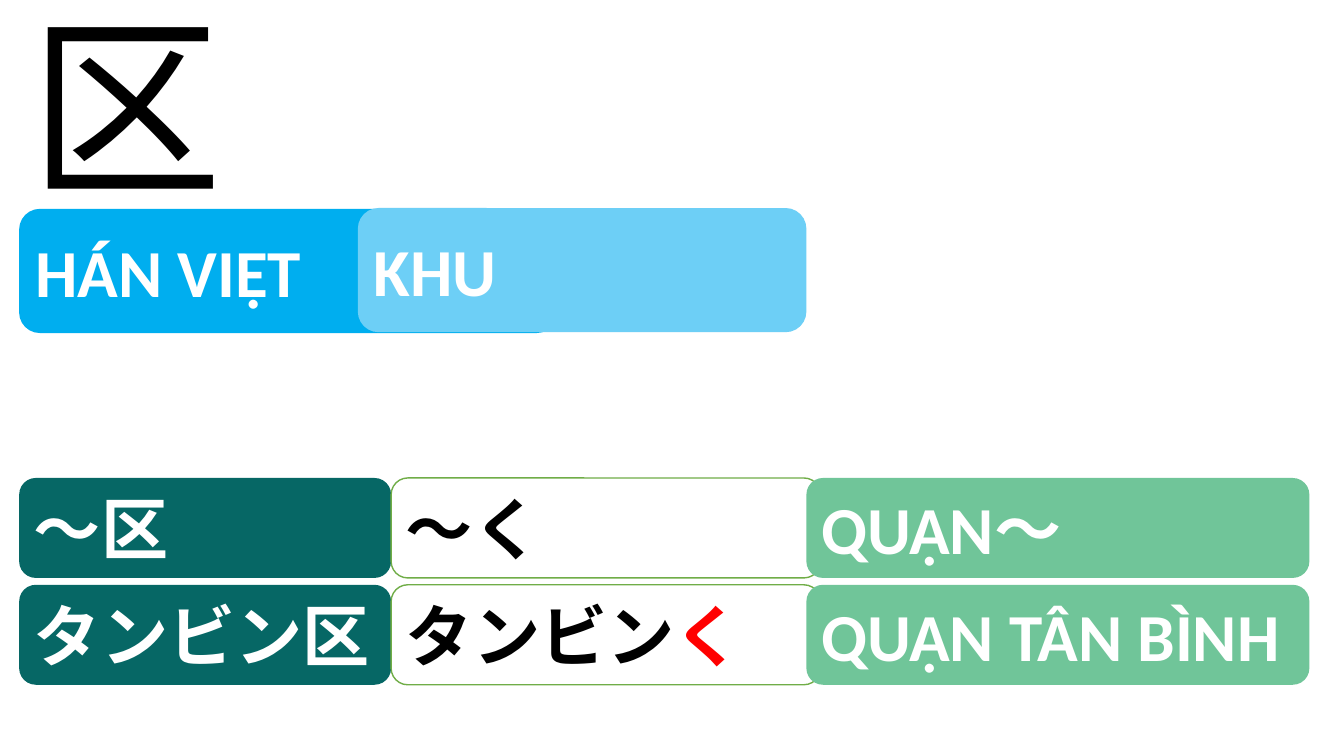
from dataclasses import dataclass

from lxml import etree
from pptx import Presentation
from pptx.dml.color import RGBColor
from pptx.enum.shapes import MSO_SHAPE
from pptx.enum.text import MSO_ANCHOR, MSO_AUTO_SIZE, PP_ALIGN
from pptx.oxml.ns import qn
from pptx.slide import Slide
from pptx.text.text import TextFrame
from pptx.util import Pt

ROUNDED = MSO_SHAPE.ROUNDED_RECTANGLE
MIDDLE = MSO_ANCHOR.MIDDLE
GROW = MSO_AUTO_SIZE.SHAPE_TO_FIT_TEXT
LEFT = PP_ALIGN.LEFT

COLORS = {
    "black": "000000",
    "white": "FFFFFF",
    "red": "FF0000",
    "blue": "00AEEF",
    "sky": "6DCFF6",
    "teal": "066765",
    "mint": "70C599",
    "green": "70AD47",
}
JAPANESE_FONT = "Noto Sans CJK JP"
CARD_FORMAT = {"name": "Calibri", "size": Pt(48), "bold": True}
KANJI_FORMAT = {"name": JAPANESE_FONT, "size": Pt(138)}

MARGIN = 13.7
READING_HEIGHT = 88.7
WORD_TOP, WORD_HEIGHT, WORD_STEP = 341.4, 71.4, 76.3


@dataclass(frozen=True)
class Phrase:
    text: str
    color: str = "white"


@dataclass(frozen=True)
class Card:
    left: float
    top: float
    width: float
    height: float
    fill: str
    phrases: tuple[Phrase, ...]
    outline: str = ""


@dataclass(frozen=True)
class Column:
    left: float
    width: float
    fill: str
    outline: str = ""


COLUMNS = (
    Column(MARGIN, 265.7, "teal"),
    Column(279.4, 306.7, "white", "green"),
    Column(576, 359.3, "mint"),
)
WORDS = (
    ((Phrase("～区"),), (Phrase("～く", "black"),), (Phrase("QUẬN～"),)),
    (
        (Phrase("タンビン区"),),
        (Phrase("タンビン", "black"), Phrase("く", "red")),
        (Phrase("QUẬN TÂN BÌNH"),),
    ),
)
READING = (
    Card(MARGIN, 149.2, 384.5, READING_HEIGHT, "blue", (Phrase("HÁN VIỆT"),)),
    Card(255.6, 148.6, 320.4, READING_HEIGHT, "sky", (Phrase("KHU"),)),
)


def rgb(color: str) -> RGBColor:
    return RGBColor.from_string(COLORS[color])


def write(frame: TextFrame, phrases: tuple[Phrase, ...], text_format: dict) -> None:
    frame.word_wrap = True
    paragraph = frame.paragraphs[0]
    paragraph.alignment = LEFT
    for phrase in phrases:
        run = paragraph.add_run()
        run.text = phrase.text
        for attribute, value in text_format.items():
            setattr(run.font, attribute, value)
        run.font.color.rgb = rgb(phrase.color)
        east_asian = etree.SubElement(run._r.get_or_add_rPr(), qn("a:ea"))
        east_asian.set("typeface", JAPANESE_FONT)


def draw_kanji(slide: Slide, kanji: Phrase) -> None:
    heading = slide.shapes.add_textbox(Pt(MARGIN), Pt(-13), Pt(149.8), Pt(174.2))
    write(heading.text_frame, (kanji,), KANJI_FORMAT)
    heading.text_frame.auto_size = GROW


def draw_card(slide: Slide, card: Card) -> None:
    box = slide.shapes.add_shape(
        ROUNDED, Pt(card.left), Pt(card.top), Pt(card.width), Pt(card.height)
    )
    box.shadow.inherit = False
    box.fill.solid()
    box.fill.fore_color.rgb = rgb(card.fill)
    if card.outline:
        box.line.color.rgb = rgb(card.outline)
        box.line.width = Pt(1)
    else:
        box.line.fill.background()
    box.text_frame.vertical_anchor = MIDDLE
    write(box.text_frame, card.phrases, CARD_FORMAT)


def main() -> None:
    deck = Presentation()
    deck.slide_width, deck.slide_height = Pt(960), Pt(540)
    slide = deck.slides.add_slide(deck.slide_layouts[6])

    draw_kanji(slide, Phrase("区", "black"))
    for card in READING:
        draw_card(slide, card)
    for row, word in enumerate(WORDS):
        top = WORD_TOP + row * WORD_STEP
        for column, phrases in zip(COLUMNS, word):
            draw_card(
                slide,
                Card(column.left, top, column.width, WORD_HEIGHT,
                     column.fill, phrases, column.outline),
            )
    deck.save("out.pptx")


if __name__ == "__main__":
    main()
